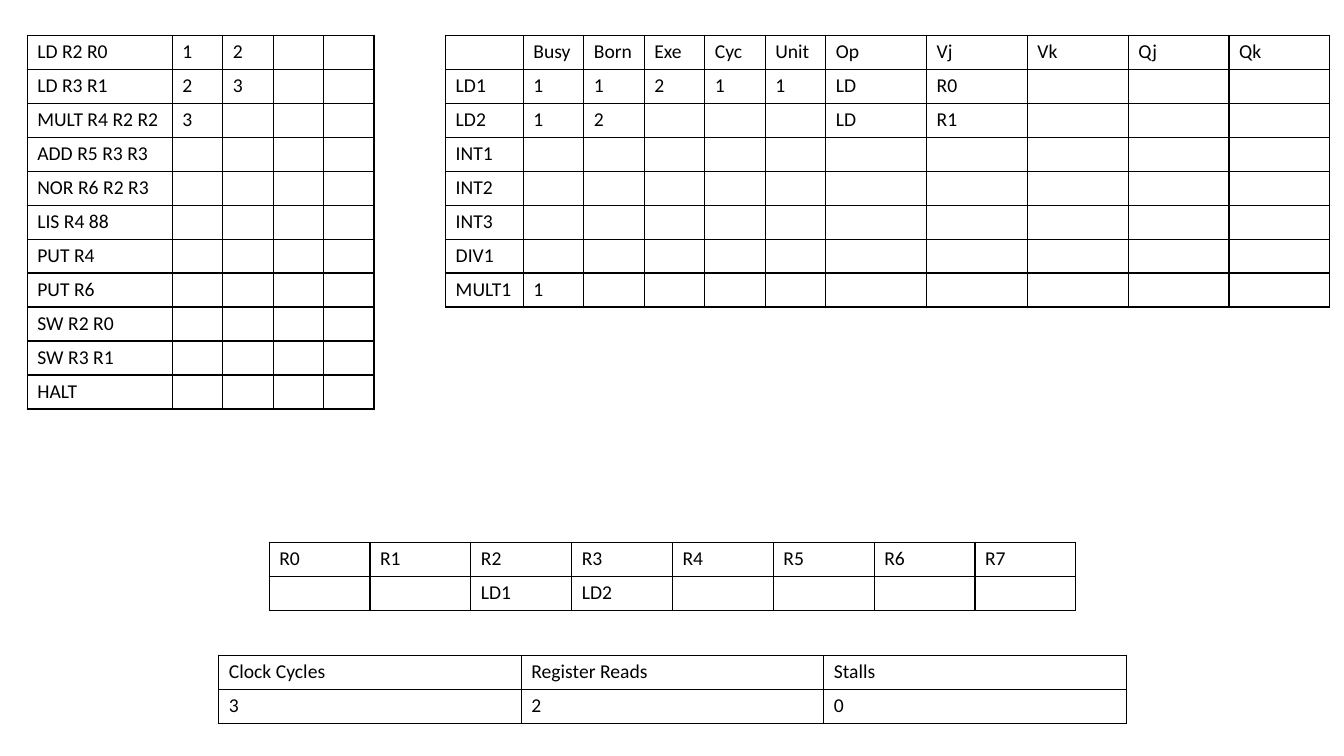
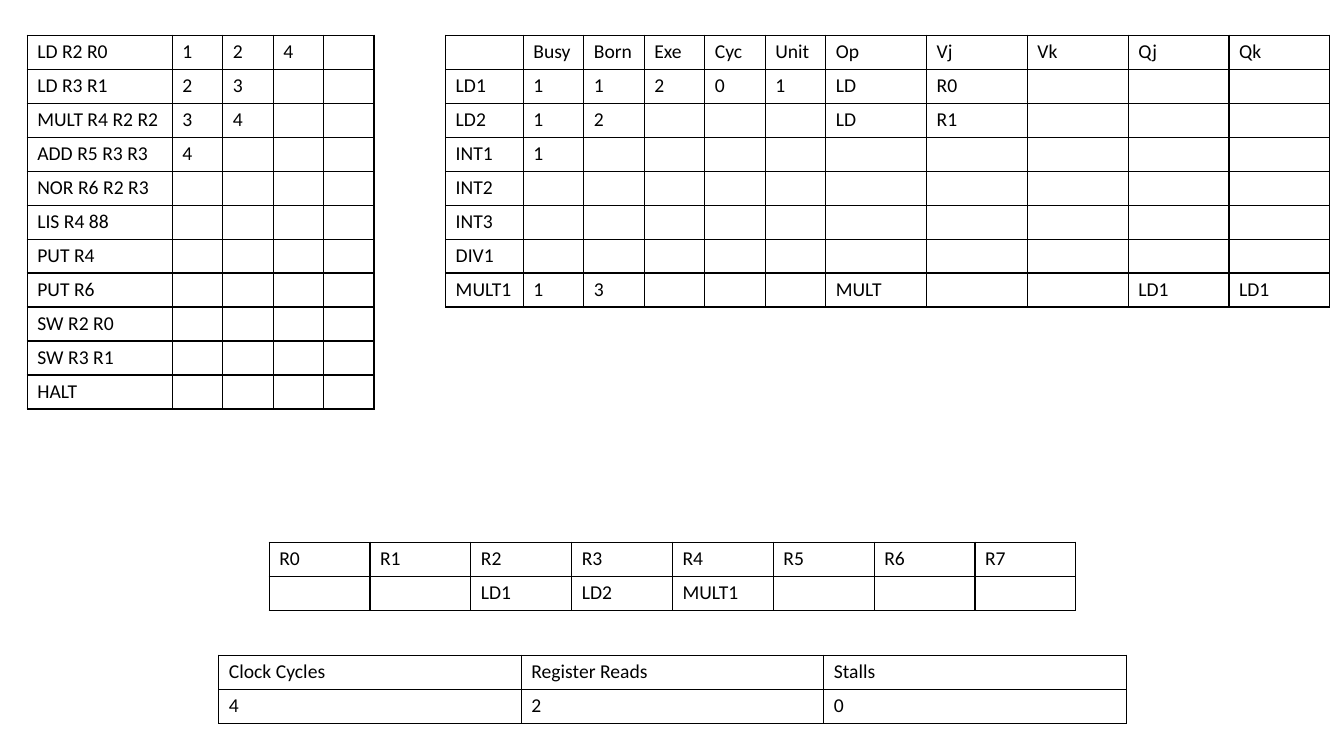
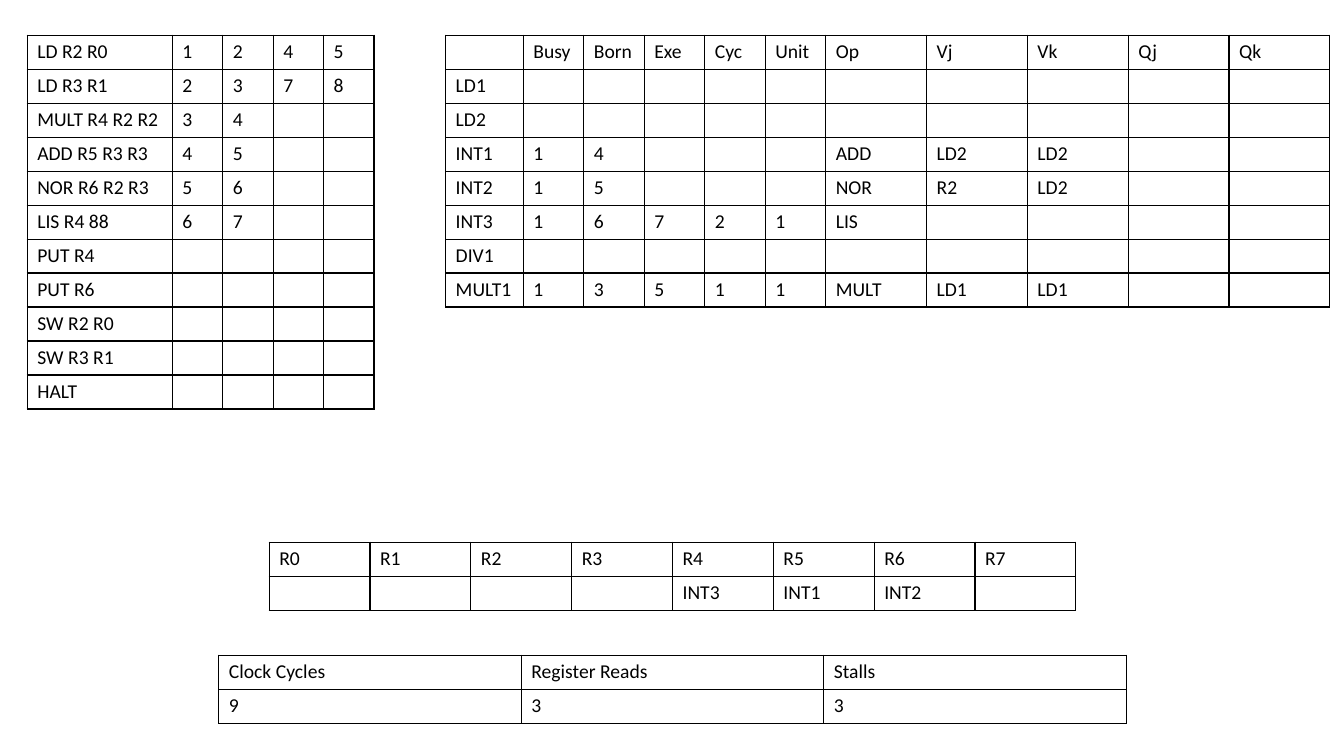
from pptx import Presentation
from pptx.dml.color import RGBColor
from pptx.oxml import parse_xml
from pptx.oxml.ns import nsdecls
from pptx.util import Inches, Pt

INK = "000000"
FONT, SIZE = "Calibri", 14
ROW = 1 / 3

CODE = ["LD R2 R0", "LD R3 R1", "MULT R4 R2 R2", "ADD R5 R3 R3",
        "NOR R6 R2 R3", "LIS R4 88", "PUT R4", "PUT R6", "SW R2 R0",
        "SW R3 R1", "HALT"]
UNITS = ["LD1", "LD2", "INT1", "INT2", "INT3", "DIV1", "MULT1"]
HEADS = ["", "Busy", "Born", "Exe", "Cyc", "Unit", "Op",
         "Vj", "Vk", "Qj", "Qk"]
REGS = [f"R{num}" for num in range(8)]
TALLY = ["Clock Cycles", "Register Reads", "Stalls"]

# Steps run in code order; units and regs hold only what is in use.
STATES = [
    {"steps": ["12", "23", "3"],
     "units": {"LD1": ["1", "1", "2", "1", "1", "LD", "R0"],
               "LD2": ["1", "2", "", "", "", "LD", "R1"],
               "MULT1": ["1"]},
     "regs": {"R2": "LD1", "R3": "LD2"},
     "tally": "320"},
    {"steps": ["124", "23", "34", "4"],
     "units": {"LD1": ["1", "1", "2", "0", "1", "LD", "R0"],
               "LD2": ["1", "2", "", "", "", "LD", "R1"],
               "INT1": ["1"],
               "MULT1": ["1", "3", "", "", "", "MULT", "", "", "LD1", "LD1"]},
     "regs": {"R2": "LD1", "R3": "LD2", "R4": "MULT1"},
     "tally": "420"},
    {"steps": ["1245", "2378", "34", "45", "56", "67"],
     "units": {"INT1": ["1", "4", "", "", "", "ADD", "LD2", "LD2"],
               "INT2": ["1", "5", "", "", "", "NOR", "R2", "LD2"],
               "INT3": ["1", "6", "7", "2", "1", "LIS"],
               "MULT1": ["1", "3", "5", "1", "1", "MULT", "LD1", "LD1"]},
     "regs": {"R4": "INT3", "R5": "INT1", "R6": "INT2"},
     "tally": "933"},
]


def style(cell, text):
    """Write text in a cell with a thin border and no fill."""
    props = cell._tc.get_or_add_tcPr()
    for side in ("lnL", "lnR", "lnT", "lnB"):
        props.append(parse_xml(
            f'<a:{side} {nsdecls("a")} w="{Pt(1)}"><a:solidFill>'
            f'<a:srgbClr val="{INK}"/></a:solidFill></a:{side}>'))
    cell.fill.background()
    para = cell.text_frame.paragraphs[0]
    if text:
        run = para.add_run()
        run.text = text
        run.font.name = FONT
        run.font.size = Pt(SIZE)
        run.font.color.rgb = RGBColor.from_string(INK)
    else:
        # An empty cell must not stretch its row.
        para._p.append(parse_xml(
            f'<a:endParaRPr {nsdecls("a")} sz="{SIZE * 100}"/>'))


def add_grid(slide, left, top, cols, rows):
    """Add a plain table; short rows are filled with empty cells."""
    table = slide.shapes.add_table(
        len(rows), len(cols), Inches(left), Inches(top),
        Inches(sum(cols)), Inches(ROW * len(rows))).table
    table.first_row = table.horz_banding = False
    for col, width in zip(table.columns, cols):
        col.width = Inches(width)
    for y, row in enumerate(rows):
        for x in range(len(cols)):
            style(table.cell(y, x), row[x] if x < len(row) else "")


prs = Presentation()
prs.slide_width, prs.slide_height = Inches(13.33), Inches(7.5)

for state in STATES:
    slide = prs.slides.add_slide(prs.slide_layouts[6])
    steps = state["steps"] + [""] * (len(CODE) - len(state["steps"]))
    add_grid(slide, 0.27, 0.35, [1.44] + [0.5] * 4,
             [[line, *marks] for line, marks in zip(CODE, steps)])
    add_grid(slide, 4.42, 0.35, [0.77] + [0.6] * 5 + [1] * 5,
             [HEADS] + [[unit, *state["units"].get(unit, [])]
                        for unit in UNITS])
    add_grid(slide, 2.67, 5.38, [1] * 8,
             [REGS, [state["regs"].get(reg, "") for reg in REGS]])
    add_grid(slide, 2.17, 6.5, [3] * 3, [TALLY, state["tally"]])

prs.save("out.pptx")
